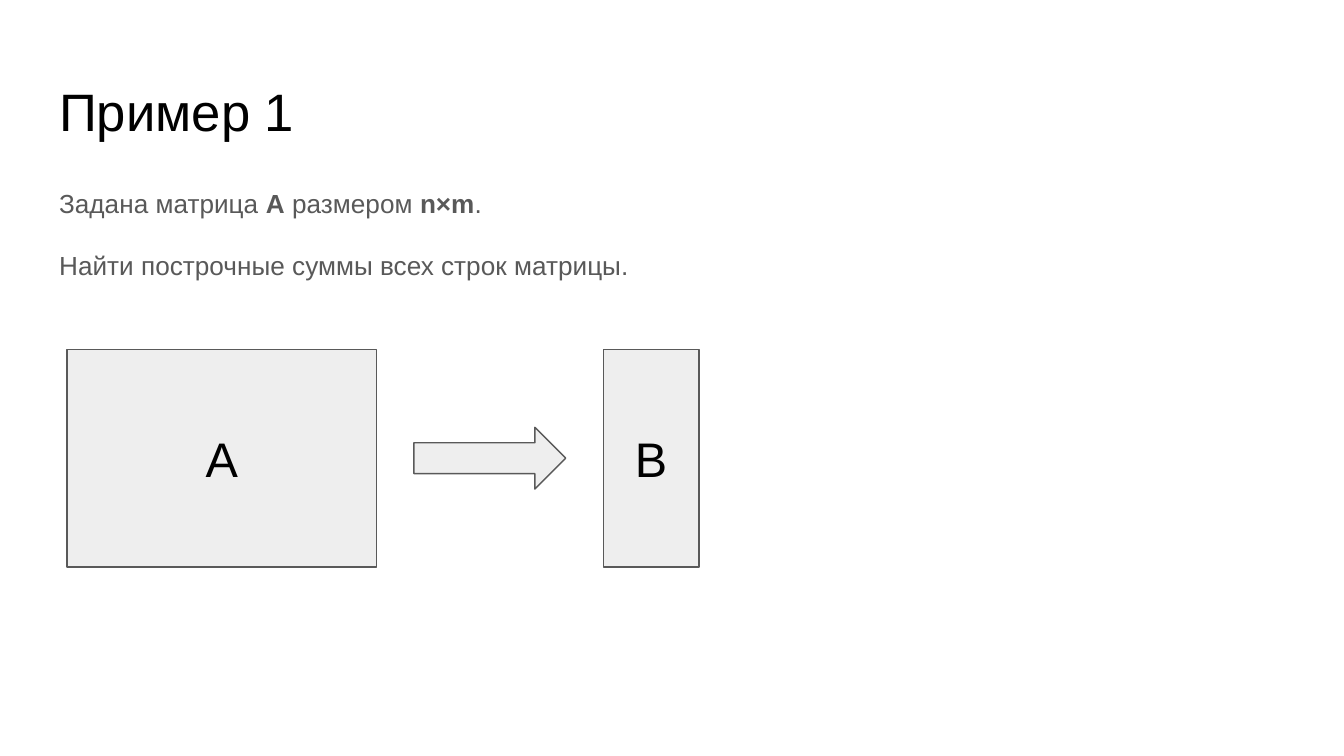
from lxml import etree
from pptx import Presentation
from pptx.dml.color import RGBColor
from pptx.enum import shapes, text
from pptx.oxml.ns import qn
from pptx.util import Inches, Pt

GREY = "595959"
BLACK = "000000"
PALE = "EEEEEE"
MATRIX_TOP = 2.6
MATRIX_HEIGHT = 1.62


def colour(value):
    return RGBColor.from_string(value)


def place(item, left, top, width, height):
    item.left, item.top = Inches(left), Inches(top)
    item.width, item.height = Inches(width), Inches(height)


def set_frame(frame, anchor):
    frame.word_wrap = True
    frame.auto_size = text.MSO_AUTO_SIZE.NONE
    frame.vertical_anchor = anchor
    frame.margin_left = frame.margin_right = Inches(0.1)
    frame.margin_top = frame.margin_bottom = Inches(0.1)


def add_run(paragraph, words, size, hue, bold=False):
    run = paragraph.add_run()
    run.text = words
    run.font.name = "Arial"
    run.font.size = Pt(size)
    run.font.bold = bold
    run.font.color.rgb = colour(hue)


def add_title(slide, words):
    title = slide.shapes.title
    place(title, 0.34, 0.49, 9.32, 0.63)
    set_frame(title.text_frame, text.MSO_ANCHOR.TOP)
    heading = title.text_frame.paragraphs[0]
    heading.alignment = text.PP_ALIGN.LEFT
    add_run(heading, words, 28.2, BLACK)


def add_task(slide, statements):
    task = slide.placeholders[1]
    place(task, 0.34, 1.26, 5.02, 0.92)
    frame = task.text_frame
    set_frame(frame, text.MSO_ANCHOR.TOP)
    for index, statement in enumerate(statements):
        line = frame.add_paragraph() if index else frame.paragraphs[0]
        properties = line._p.get_or_add_pPr()
        properties.set("marL", "0")
        properties.set("indent", "0")
        etree.SubElement(properties, qn("a:buNone"))
        line.alignment = text.PP_ALIGN.LEFT
        line.line_spacing = 1.15
        line.space_before = Pt(14 if index else 0)
        for words, bold in statement:
            add_run(line, words, 14, GREY, bold)


def add_block(slide, kind, left, top, width, height):
    block = slide.shapes.add_shape(
        kind, Inches(left), Inches(top), Inches(width), Inches(height))
    block.shadow.inherit = False
    block.fill.solid()
    block.fill.fore_color.rgb = colour(PALE)
    block.line.color.rgb = colour(GREY)
    block.line.width = Pt(0.75)
    return block


def add_matrix(slide, label, left, width):
    matrix = add_block(slide, shapes.MSO_SHAPE.RECTANGLE,
                       left, MATRIX_TOP, width, MATRIX_HEIGHT)
    set_frame(matrix.text_frame, text.MSO_ANCHOR.MIDDLE)
    caption = matrix.text_frame.paragraphs[0]
    caption.alignment = text.PP_ALIGN.CENTER
    add_run(caption, label, 26, BLACK)


def add_arrow(slide, left, width, height):
    top = MATRIX_TOP + (MATRIX_HEIGHT - height) / 2
    add_block(slide, shapes.MSO_SHAPE.RIGHT_ARROW, left, top, width, height)


def main():
    deck = Presentation()
    deck.slide_width = Inches(10)
    deck.slide_height = deck.slide_width * 9 // 16
    slide = deck.slides.add_slide(deck.slide_layouts[1])
    add_title(slide, "Пример 1")
    add_task(slide, [
        [("Задана матрица ", False), ("A", True), (" размером ", False),
         ("n×m", True), (".", False)],
        [("Найти построчные суммы всех строк матрицы.", False)],
    ])
    add_matrix(slide, "A", 0.5, 2.3)
    add_matrix(slide, "B", 4.49, 0.71)
    add_arrow(slide, 3.08, 1.13, 0.46)
    deck.save("out.pptx")


if __name__ == "__main__":
    main()
